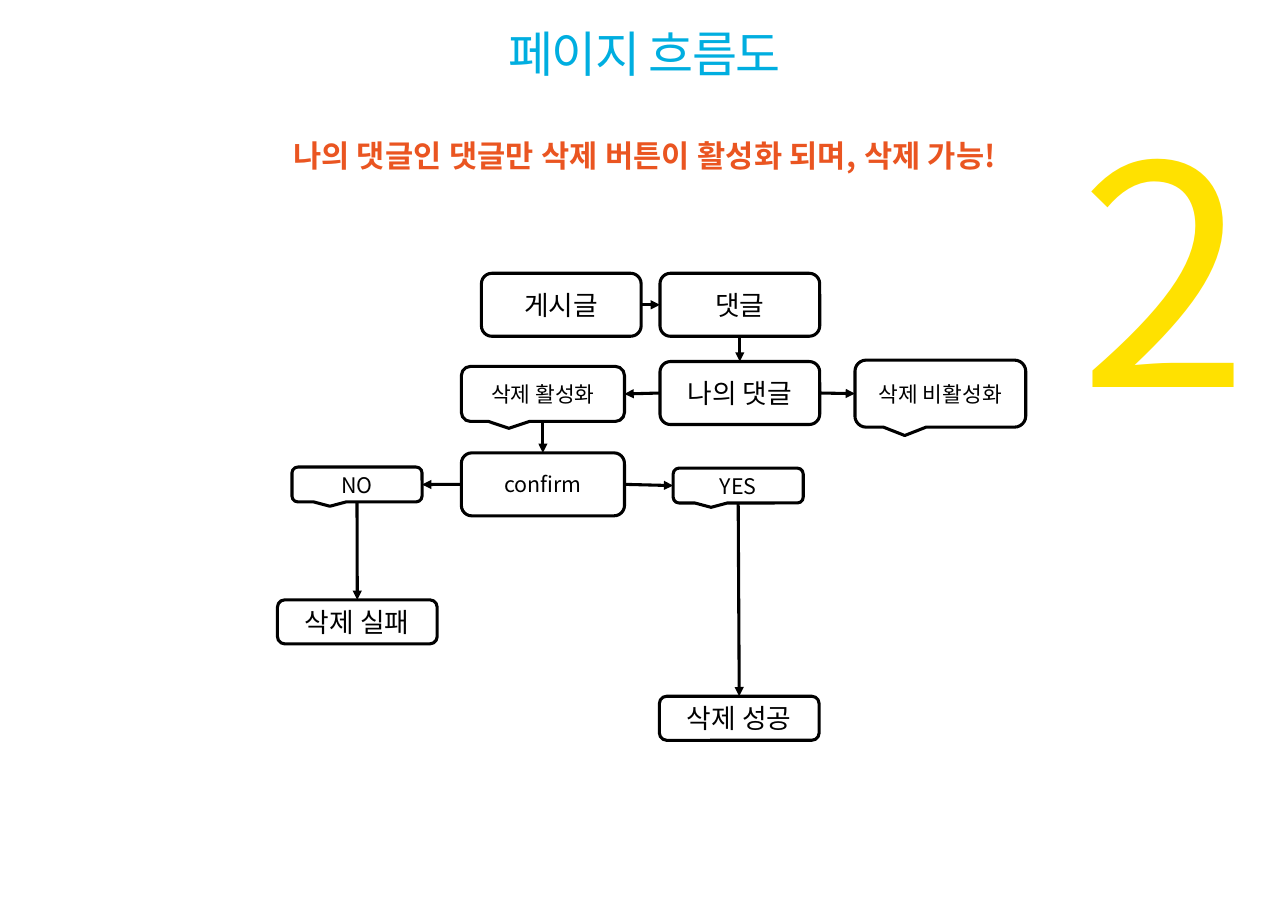
from lxml.etree import SubElement
from pptx import Presentation
from pptx.dml.color import RGBColor
from pptx.enum.shapes import MSO_CONNECTOR, MSO_SHAPE
from pptx.enum.text import MSO_ANCHOR, MSO_AUTO_SIZE, PP_ALIGN
from pptx.oxml.ns import qn
from pptx.util import Pt

FONT = "Noto Sans CJK KR"
BLACK, WHITE = "000000", "FFFFFF"
LINE_WIDTH = 2
TOP, LEFT, BOTTOM, RIGHT = range(4)
STEP, ANSWER = MSO_SHAPE.ROUNDED_RECTANGLE, MSO_SHAPE.ROUNDED_RECTANGULAR_CALLOUT

# label: kind, left, top, width, height, text size
NODES = {
    "게시글": (STEP, 314.6, 178.6, 104.4, 41.2, 17.5),
    "댓글": (STEP, 431.3, 178.6, 104.4, 41.2, 17.5),
    "나의 댓글": (STEP, 431.3, 236.3, 104.4, 41.2, 17.5),
    "삭제 활성화": (ANSWER, 301.5, 239.5, 106.6, 36, 14),
    "삭제 비활성화": (ANSWER, 558.7, 235.4, 111.6, 43.8, 14),
    "confirm": (STEP, 301.5, 296, 106.6, 41.2, 14),
    "NO": (ANSWER, 190.8, 305.3, 85, 22.8, 14),
    "YES": (ANSWER, 439.9, 306, 85, 22.8, 14),
    "삭제 실패": (STEP, 181.3, 392.1, 104.4, 28.8, 17.5),
    "삭제 성공": (STEP, 430.9, 455.1, 104.4, 28.8, 17.5),
}

FLOWS = [
    ("게시글", RIGHT, "댓글", LEFT),
    ("댓글", BOTTOM, "나의 댓글", TOP),
    ("나의 댓글", LEFT, "삭제 활성화", RIGHT),
    ("나의 댓글", RIGHT, "삭제 비활성화", LEFT),
    ("삭제 활성화", BOTTOM, "confirm", TOP),
    ("confirm", LEFT, "NO", RIGHT),
    ("confirm", RIGHT, "YES", LEFT),
    ("NO", BOTTOM, "삭제 실패", TOP),
    ("YES", BOTTOM, "삭제 성공", TOP),
]


def color(hex_value):
    return RGBColor.from_string(hex_value)


def add_run(paragraph, text, size, hex_value, bold=False, tracking=0):
    run = paragraph.add_run()
    run.text = text
    font = run.font
    font.size, font.bold, font.name = Pt(size), bold, FONT
    font.color.rgb = color(hex_value)
    properties = run._r.get_or_add_rPr()
    SubElement(properties, qn("a:ea"), typeface=FONT)
    if tracking:
        properties.set("spc", str(round(tracking * 100)))


def clear_margins(frame):
    frame.margin_left = frame.margin_right = 0
    frame.margin_top = frame.margin_bottom = 0
    frame.word_wrap = True


def fill_heading(heading, box, text, size, hex_value, leading,
                 align=PP_ALIGN.CENTER, bold=False, tracking=-1):
    """Place a heading and set its text on a fixed line height."""
    heading.left, heading.top, heading.width, heading.height = map(Pt, box)
    frame = heading.text_frame
    clear_margins(frame)
    frame.auto_size = MSO_AUTO_SIZE.NONE
    frame.vertical_anchor = MSO_ANCHOR.TOP
    paragraph = frame.paragraphs[0]
    paragraph.alignment = align
    paragraph.line_spacing = Pt(leading)
    before = SubElement(paragraph._p.get_or_add_pPr(), qn("a:spcBef"))
    SubElement(before, qn("a:spcPct"), val="20000")
    add_run(paragraph, text, size, hex_value, bold, tracking)


def add_node(slide, label, kind, left, top, width, height, size):
    node = slide.shapes.add_shape(kind, Pt(left), Pt(top), Pt(width), Pt(height))
    node.shadow.inherit = False
    node.fill.solid()
    node.fill.fore_color.rgb = color(WHITE)
    node.line.color.rgb = color(BLACK)
    node.line.width = Pt(LINE_WIDTH)
    frame = node.text_frame
    clear_margins(frame)
    frame.vertical_anchor = MSO_ANCHOR.MIDDLE
    paragraph = frame.paragraphs[0]
    paragraph.alignment = PP_ALIGN.CENTER
    add_run(paragraph, label, size, BLACK)
    return node


def add_flow(slide, source, source_side, target, target_side):
    arrow = slide.shapes.add_connector(MSO_CONNECTOR.STRAIGHT, 0, 0, 0, 0)
    arrow.begin_connect(source, source_side)
    arrow.end_connect(target, target_side)
    arrow.line.color.rgb = color(BLACK)
    arrow.line.width = Pt(LINE_WIDTH)
    SubElement(arrow.line._get_or_add_ln(), qn("a:tailEnd"), type="triangle")
    SubElement(arrow._element.spPr, qn("a:effectLst"))


def main():
    deck = Presentation()
    deck.slide_width, deck.slide_height = Pt(841.68), Pt(595.44)
    slide = deck.slides.add_slide(deck.slide_layouts[5])

    fill_heading(slide.shapes.title, (159.1, 23.8, 524.2, 59),
                 "페이지 흐름도", 32, "00AEE0", 30)
    rule = slide.shapes.add_textbox(0, 0, 0, 0)
    fill_heading(rule, (159.1, 99.4, 524.2, 56.9),
                 "나의 댓글인 댓글만 삭제 버튼이 활성화 되며, 삭제 가능!",
                 20, "EA5521", 14, bold=True, tracking=0.1)
    page_number = slide.shapes.add_textbox(0, 0, 0, 0)
    fill_heading(page_number, (705.6, 93.6, 105.1, 198.7),
                 "2", 200, "FFE100", 200, align=PP_ALIGN.LEFT)

    nodes = {label: add_node(slide, label, *look) for label, look in NODES.items()}
    for source, source_side, target, target_side in FLOWS:
        add_flow(slide, nodes[source], source_side, nodes[target], target_side)

    deck.save("out.pptx")


if __name__ == "__main__":
    main()
